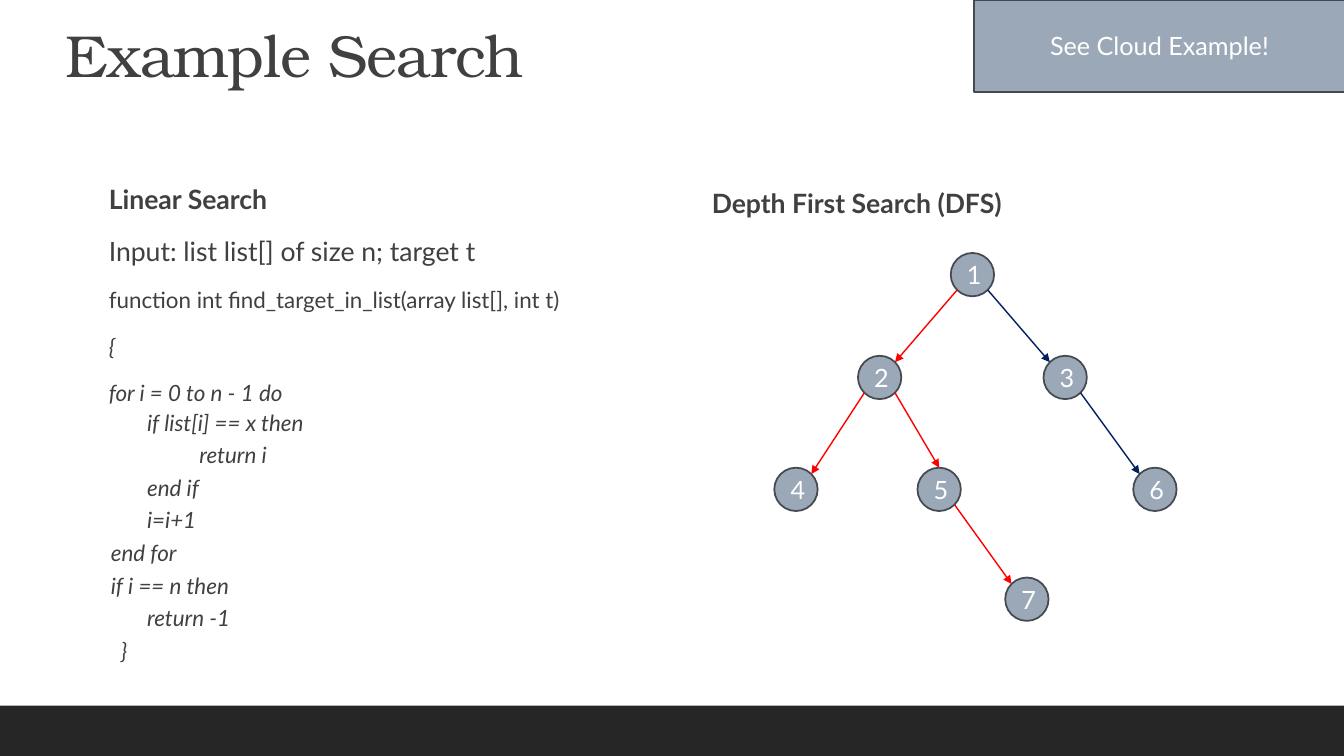
import math
from dataclasses import dataclass

import pptx
import pptx.dml.color
import pptx.enum.shapes
import pptx.enum.text
import pptx.oxml
import pptx.oxml.ns
import pptx.shapes.autoshape
import pptx.slide
import pptx.util

Inches = pptx.util.Inches
Pt = pptx.util.Pt
RGBColor = pptx.dml.color.RGBColor
MSO_SHAPE = pptx.enum.shapes.MSO_SHAPE
MSO_ANCHOR = pptx.enum.text.MSO_ANCHOR

WHITE = RGBColor(0xFF, 0xFF, 0xFF)
DARK = RGBColor(0x40, 0x40, 0x40)
FOOTER = RGBColor(0x26, 0x26, 0x26)
STEEL = RGBColor(0x9B, 0xA8, 0xB7)
OUTLINE = RGBColor(0x44, 0x4A, 0x50)
RED = RGBColor(0xFF, 0x00, 0x00)
NAVY = RGBColor(0x00, 0x20, 0x60)

BODY_FONT = "Lato"
TITLE_FONT = "TeX Gyre Bonum"
NODE_SIZE = 0.43


@dataclass
class Line:
    text: str
    size: float = 16
    bold: bool = False
    italic: bool = False
    margin: float = 0.1
    spacing: float = 1.0
    before: float = 12
    after: float = 2
    font: str = BODY_FONT
    tracking: int = 0


@dataclass
class Node:
    label: str
    left: float
    top: float


@dataclass
class Edge:
    parent: str
    child: str
    color: RGBColor
    to_top: bool = False


def code_line(text: str, margin: float = 0.22) -> Line:
    return Line(text, italic=True, margin=margin, spacing=0.9, before=2, after=4)


TITLE = Line("Example Search", 42.3, margin=0, spacing=0.9, after=0,
             font=TITLE_FONT, tracking=-50)

LINEAR_SEARCH = [
    Line("Linear Search", 19, bold=True),
    Line("Input: list list[] of size n; target t", 19),
    Line("function int find_target_in_list(array list[], int t)"),
    Line("{", italic=True),
    Line("for i = 0 to n - 1 do", italic=True),
    code_line("     if list[i] == x then"),
    code_line("               return i"),
    code_line("     end if"),
    code_line("     i=i+1"),
    code_line("end for", 0.12),
    code_line("if i == n then", 0.12),
    code_line("     return -1"),
    code_line("}"),
]
DEPTH_FIRST = [Line("Depth First Search (DFS)", 19, bold=True, spacing=1.1)]

NODES = [
    Node("1", 9.43, 2.51),
    Node("2", 8.51, 3.53),
    Node("3", 10.35, 3.53),
    Node("4", 7.68, 4.64),
    Node("5", 9.1, 4.64),
    Node("6", 11.24, 4.64),
    Node("7", 9.97, 5.73),
]
EDGES = [
    Edge("1", "2", RED),
    Edge("2", "4", RED),
    Edge("2", "5", RED, to_top=True),
    Edge("5", "7", RED),
    Edge("1", "3", NAVY),
    Edge("3", "6", NAVY),
]


def add_text(slide: pptx.slide.Slide, left: float, top: float, width: float,
             height: float, lines: list[Line], side_inset: float = 0,
             anchor: MSO_ANCHOR = MSO_ANCHOR.TOP) -> None:
    box = slide.shapes.add_textbox(Inches(left), Inches(top), Inches(width), Inches(height))
    frame = box.text_frame
    frame.word_wrap = True
    frame.vertical_anchor = anchor
    frame.margin_left = frame.margin_right = Inches(side_inset)
    for index, line in enumerate(lines):
        paragraph = frame.add_paragraph() if index else frame.paragraphs[0]
        paragraph.line_spacing = line.spacing
        paragraph.space_before = Pt(line.before if index else 0)
        paragraph.space_after = Pt(line.after)
        properties = paragraph._p.get_or_add_pPr()
        properties.set("marL", str(Inches(line.margin)))
        properties.set("indent", "0")
        run = paragraph.add_run()
        run.text = line.text
        run.font.name = line.font
        run.font.size = Pt(line.size)
        run.font.bold = line.bold
        run.font.italic = line.italic
        run.font.color.rgb = DARK
        if line.tracking:
            run._r.get_or_add_rPr().set("spc", str(line.tracking))


def add_box(slide: pptx.slide.Slide, kind: MSO_SHAPE, left: float, top: float,
            width: float, height: float, fill: RGBColor,
            label: str = "") -> pptx.shapes.autoshape.Shape:
    shape = slide.shapes.add_shape(kind, Inches(left), Inches(top), Inches(width), Inches(height))
    shape.shadow.inherit = False
    shape.fill.solid()
    shape.fill.fore_color.rgb = fill
    if not label:
        shape.line.fill.background()
        return shape
    shape.line.color.rgb = OUTLINE
    shape.line.width = Pt(1.25)
    shape.text_frame.vertical_anchor = MSO_ANCHOR.MIDDLE
    paragraph = shape.text_frame.paragraphs[0]
    paragraph.alignment = pptx.enum.text.PP_ALIGN.CENTER
    run = paragraph.add_run()
    run.text = label
    run.font.name = BODY_FONT
    run.font.size = Pt(18)
    run.font.color.rgb = WHITE
    return shape


def add_edge(slide: pptx.slide.Slide, parent: Node, child: Node, edge: Edge) -> None:
    # Edges run between the diagonal points of the circles, or to the child's top
    radius = NODE_SIZE / 2
    diagonal = radius * math.sqrt(0.5)
    side = math.copysign(diagonal, child.left - parent.left)
    start_x, start_y = parent.left + radius + side, parent.top + radius + diagonal
    if edge.to_top:
        end_x, end_y = child.left + radius, child.top
    else:
        end_x, end_y = child.left + radius - side, child.top + radius - diagonal
    connector = slide.shapes.add_connector(
        pptx.enum.shapes.MSO_CONNECTOR.STRAIGHT,
        Inches(start_x), Inches(start_y), Inches(end_x), Inches(end_y))
    connector.line.color.rgb = edge.color
    connector.line.width = Pt(1)
    arrowhead = pptx.oxml.parse_xml(
        f'<a:tailEnd {pptx.oxml.ns.nsdecls("a")} type="triangle"/>')
    connector.line._get_or_add_ln().append(arrowhead)
    connector._element.spPr.append(
        pptx.oxml.parse_xml(f'<a:effectLst {pptx.oxml.ns.nsdecls("a")}/>'))


def main() -> None:
    presentation = pptx.Presentation()
    presentation.slide_width = Inches(13.33)
    presentation.slide_height = Inches(7.5)
    slide = presentation.slides.add_slide(presentation.slide_layouts[6])

    # Footer bar, title and text columns
    add_box(slide, MSO_SHAPE.RECTANGLE, 0, 7, 13.33, 0.5, FOOTER)
    add_text(slide, 0.55, 0.55, 12.23, 0.4, [TITLE], 0.1, MSO_ANCHOR.BOTTOM)
    add_text(slide, 0.98, 1.77, 5.83, 5.16, LINEAR_SEARCH)
    add_text(slide, 6.96, 1.77, 5.83, 5.16, DEPTH_FIRST)

    # Search tree
    for node in NODES:
        add_box(slide, MSO_SHAPE.OVAL, node.left, node.top, NODE_SIZE, NODE_SIZE,
                STEEL, node.label)
    by_label = {node.label: node for node in NODES}
    for edge in EDGES:
        add_edge(slide, by_label[edge.parent], by_label[edge.child], edge)

    # Corner badge
    add_box(slide, MSO_SHAPE.RECTANGLE, 9.66, 0, 3.68, 0.91, STEEL, "See Cloud Example!")

    presentation.save("out.pptx")


if __name__ == "__main__":
    main()
